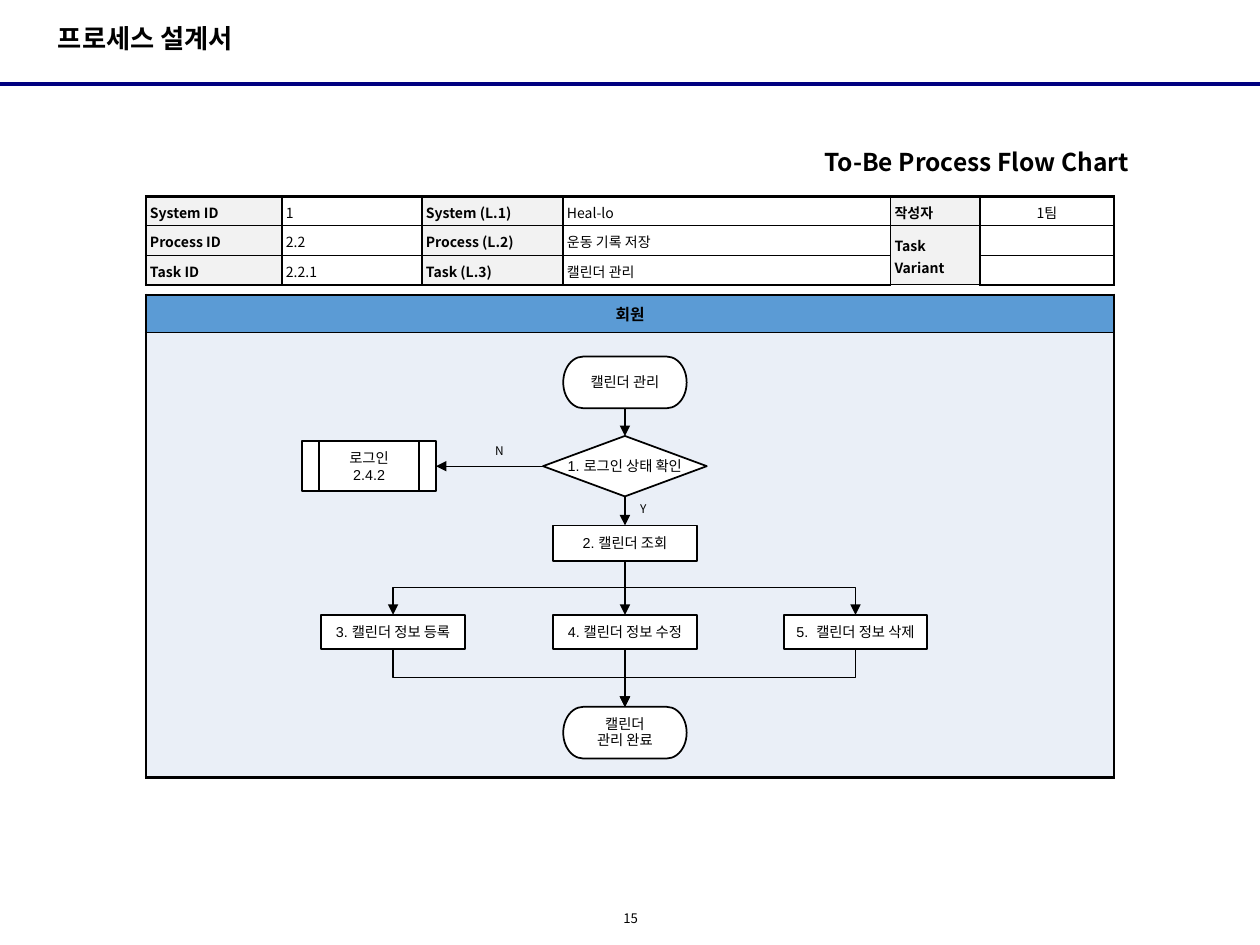
from lxml import etree
from pptx import Presentation
from pptx.dml.color import RGBColor
from pptx.enum.shapes import MSO_CONNECTOR, MSO_SHAPE
from pptx.enum.text import MSO_ANCHOR, MSO_AUTO_SIZE, PP_ALIGN
from pptx.oxml.ns import qn
from pptx.util import Inches, Pt

LEFT, CENTER, RIGHT = PP_ALIGN.LEFT, PP_ALIGN.CENTER, PP_ALIGN.RIGHT
TOP, MIDDLE = MSO_ANCHOR.TOP, MSO_ANCHOR.MIDDLE
STRAIGHT, ELBOW = MSO_CONNECTOR.STRAIGHT, MSO_CONNECTOR.ELBOW
RECTANGLE = MSO_SHAPE.RECTANGLE
TERMINATOR = MSO_SHAPE.FLOWCHART_TERMINATOR
DECISION = MSO_SHAPE.FLOWCHART_DECISION
SUBPROCESS = MSO_SHAPE.FLOWCHART_PREDEFINED_PROCESS
TOP_SIDE, LEFT_SIDE, BOTTOM_SIDE, RIGHT_SIDE = range(4)

SANS, ARIAL = "Noto Sans CJK KR", "Arial"
BLACK, WHITE, NAVY = "000000", "FFFFFF", "000080"
HEADER_BLUE, LANE_BLUE, LABEL_GRAY = "5B9BD5", "EAEFF7", "F2F2F2"


def color(hex_string):
    return RGBColor.from_string(hex_string)


def set_box(target, margins=(0.1, 0.05), anchor=TOP):
    """Set horizontal and vertical margins and the anchor of a text frame or cell."""
    target.margin_left = target.margin_right = Inches(margins[0])
    target.margin_top = target.margin_bottom = Inches(margins[1])
    target.vertical_anchor = anchor


def write_text(frame, text, *, size, font=SANS, bold=False, align=LEFT,
               line_spacing=1.0, space_after=0):
    """Write one paragraph per line of text."""
    for index, line in enumerate(text.split("\n")):
        paragraph = frame.paragraphs[0] if index == 0 else frame.add_paragraph()
        properties = paragraph._p.get_or_add_pPr()
        properties.set("marL", "0")
        properties.set("indent", "0")
        etree.SubElement(properties, qn("a:buNone"))
        paragraph.alignment = align
        paragraph.line_spacing = line_spacing
        paragraph.space_before = Pt(0)
        paragraph.space_after = Pt(space_after)
        if not line:
            paragraph._p.get_or_add_endParaRPr().set("sz", str(int(size * 100)))
            continue
        run = paragraph.add_run()
        run.text = line
        run.font.name, run.font.size, run.font.bold = font, Pt(size), bold
        run.font.color.rgb = color(BLACK)
        east_asian = etree.SubElement(run._r.get_or_add_rPr(), qn("a:ea"))
        east_asian.set("typeface", SANS)


def set_borders(cell, widths):
    """Draw the left, right, top and bottom borders, in points."""
    properties = cell._tc.get_or_add_tcPr()
    for side, width in zip(("lnL", "lnR", "lnT", "lnB"), widths):
        line = etree.SubElement(properties, qn(f"a:{side}"), w=str(Pt(width)))
        fill = etree.SubElement(line, qn("a:solidFill"))
        etree.SubElement(fill, qn("a:srgbClr"), val=BLACK)


class FlowSlide:
    """Holds the current slide and the style of the flow chart."""

    node_size = 8.2
    node_line = 1
    arrow_line = 0.75
    outer_border = 1.5

    def __init__(self, slide):
        self.slide = slide
        self.shapes = slide.shapes

    def placeholder(self, shape, box, text, *, margins, wrap, **text_format):
        shape.left, shape.top, shape.width, shape.height = map(Inches, box)
        frame = shape.text_frame
        frame.auto_size = MSO_AUTO_SIZE.NONE
        frame.word_wrap = wrap
        set_box(frame, margins)
        write_text(frame, text, bold=True, **text_format)

    def label(self, box, text, size, margins=(0, 0), **text_format):
        frame = self.shapes.add_textbox(*map(Inches, box)).text_frame
        frame.word_wrap = False
        set_box(frame, margins, MIDDLE)
        write_text(frame, text, size=size, align=CENTER, **text_format)

    def node(self, kind, box, text, wrap=True, line_spacing=1.0):
        shape = self.shapes.add_shape(kind, *map(Inches, box))
        shape.shadow.inherit = False
        shape.fill.solid()
        shape.fill.fore_color.rgb = color(WHITE)
        shape.line.color.rgb = color(BLACK)
        shape.line.width = Pt(self.node_line)
        shape.text_frame.word_wrap = wrap
        set_box(shape.text_frame, (0.01, 0), MIDDLE)
        write_text(shape.text_frame, text, size=self.node_size, font=ARIAL,
                   align=CENTER, line_spacing=line_spacing)
        return shape

    def line(self, kind, start, end, line_color=BLACK, width=arrow_line, arrow=True):
        connector = self.shapes.add_connector(kind, *start, *end)
        connector.line.color.rgb = color(line_color)
        connector.line.width = Pt(width)
        etree.SubElement(connector._element.spPr, qn("a:effectLst"))
        if arrow:
            etree.SubElement(connector.line._get_or_add_ln(), qn("a:tailEnd"),
                             type="triangle")
        return connector

    def arrow(self, source, target, source_side=BOTTOM_SIDE, target_side=TOP_SIDE):
        connector = self.line(STRAIGHT, (0, 0), (0, 0))
        connector.begin_connect(source, source_side)
        connector.end_connect(target, target_side)

    def elbow(self, source, target):
        """Run down, across and down again from the source to the target."""
        start_x, end_x = (shape.left + shape.width // 2 for shape in (source, target))
        start_y, end_y = source.top + source.height, target.top
        middle_x, middle_y = (start_x + end_x) // 2, (start_y + end_y) // 2
        half_width, half_height = abs(end_x - start_x) // 2, (end_y - start_y) // 2
        connector = self.line(ELBOW, (middle_x - half_height, middle_y - half_width),
                              (middle_x + half_height, middle_y + half_width))
        transform = connector._element.spPr.find(qn("a:xfrm"))
        if end_x < start_x:
            transform.set("rot", str(90 * 60000))
        else:
            transform.set("rot", str(270 * 60000))
            transform.set("flipH", "1")

    def table(self, left, top, columns, rows, inner_border):
        """Add a plain table with a heavy outer border."""
        table = self.shapes.add_table(
            len(rows), len(columns), Inches(left), Inches(top),
            Inches(sum(columns)), Inches(sum(rows))).table
        table.first_row = table.horz_banding = False
        for column, width in zip(table.columns, columns):
            column.width = Inches(width)
        for row, height in zip(table.rows, rows):
            row.height = Inches(height)
        last_row, last_column = len(rows) - 1, len(columns) - 1
        for r in range(len(rows)):
            for c in range(len(columns)):
                edges = (c == 0, c == last_column, r == 0, r == last_row)
                set_borders(table.cell(r, c), [
                    self.outer_border if edge else inner_border for edge in edges])
        return table

    def cell(self, cell, text, fill=None, margins=(0.03, 0.03), anchor=TOP, **text_format):
        set_box(cell, margins, anchor)
        if fill:
            cell.fill.solid()
            cell.fill.fore_color.rgb = color(fill)
        else:
            cell.fill.background()
        write_text(cell.text_frame, text, **text_format)


def main():
    presentation = Presentation()
    presentation.slide_width, presentation.slide_height = Inches(10), Inches(7.5)
    slide = presentation.slides.add_slide(presentation.slide_layouts[1])
    page = FlowSlide(slide)

    page.line(STRAIGHT, (0, Inches(0.67)), (Inches(10), Inches(0.67)),
              NAVY, 2.25, arrow=False)
    page.placeholder(slide.shapes.title, (0.36, 0.13, 1.75, 0.35), "프로세스 설계서",
                     margins=(0.1, 0.05), wrap=False, size=15, font=ARIAL)
    page.placeholder(slide.placeholders[1], (6.48, 1.15, 2.48, 0.3),
                     "To-Be Process Flow Chart", margins=(0, 0.04), wrap=True,
                     size=14, align=RIGHT, line_spacing=0.9)
    page.label((4.85, 7.17, 0.31, 0.25), "15", 7.5, line_spacing=0.8)

    lane = page.table(1.16, 2.34, [7.68], [0.3, 3.53], inner_border=0.75)
    page.cell(lane.cell(0, 0), "회원", HEADER_BLUE, (0.07, 0.04), MIDDLE,
              size=9, bold=True, align=CENTER)
    page.cell(lane.cell(1, 0), "", LANE_BLUE, size=9)

    information = [
        ["System ID", "1", "System (L.1)", "Heal-lo", "작성자", "1팀"],
        ["Process ID", "2.2", "Process (L.2)", "운동 기록 저장", "Task Variant", ""],
        ["Task ID", "2.2.1", "Task (L.3)", "캘린더 관리", "", ""],
    ]
    header = page.table(1.16, 1.56, [1.08, 1.11, 1.12, 2.6, 0.71, 1.06],
                        [0.23, 0.24, 0.23], inner_border=1)
    for r, values in enumerate(information):
        for c, value in enumerate(values):
            is_label = c % 2 == 0
            page.cell(header.cell(r, c), value, LABEL_GRAY if is_label else None,
                      anchor=MIDDLE if c >= 4 else TOP, size=8, bold=is_label,
                      align=CENTER if c == 5 else LEFT, line_spacing=1.1,
                      space_after=0.8)
    header.cell(1, 4).merge(header.cell(2, 4))

    start = page.node(TERMINATOR, (4.47, 2.83, 0.98, 0.41), "캘린더 관리", line_spacing=0.9)
    check = page.node(DECISION, (4.31, 3.46, 1.3, 0.48), "1. 로그인 상태 확인", wrap=False)
    login = page.node(SUBPROCESS, (2.4, 3.5, 1.06, 0.4), "로그인\n2.4.2")
    view = page.node(RECTANGLE, (4.39, 4.17, 1.14, 0.28), "2. 캘린더 조회")
    register, edit, delete = (
        page.node(RECTANGLE, (left, 4.88, 1.14, 0.27), text)
        for left, text in ((2.55, "3. 캘린더 정보 등록"), (4.39, "4. 캘린더 정보 수정"),
                           (6.22, "5.  캘린더 정보 삭제")))
    finish = page.node(TERMINATOR, (4.47, 5.61, 0.98, 0.41), "캘린더\n관리 완료",
                       line_spacing=0.9)
    page.label((3.88, 3.47, 0.17, 0.21), "N", 6.8)
    page.label((4.99, 3.93, 0.23, 0.21), "Y", 6.8)

    for source, target in ((start, check), (check, view), (view, edit), (edit, finish)):
        page.arrow(source, target)
    page.arrow(check, login, LEFT_SIDE, RIGHT_SIDE)
    for side_task in (register, delete):
        page.elbow(view, side_task)
        page.elbow(side_task, finish)

    presentation.save("out.pptx")


if __name__ == "__main__":
    main()
